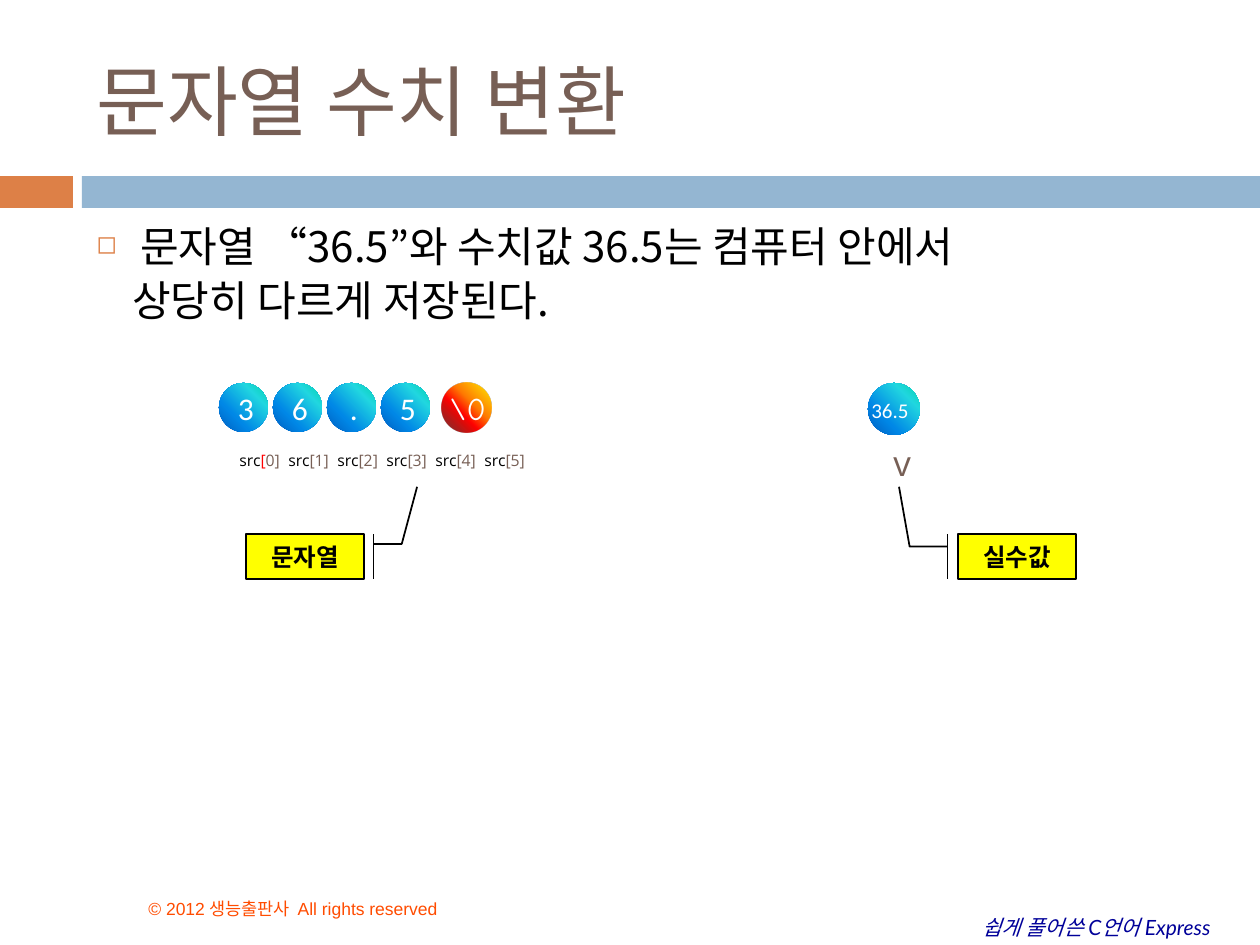
from dataclasses import dataclass

from pptx import Presentation
from pptx.dml.color import RGBColor
from pptx.enum.shapes import MSO_SHAPE as Shape
from pptx.enum.text import MSO_ANCHOR as Anchor, PP_ALIGN as Align
from pptx.oxml import parse_xml
from pptx.oxml.ns import nsdecls, qn
from pptx.util import Pt

PX = 914400 / 126


@dataclass(frozen=True)
class Theme:
    orange: str = "DD8047"
    blue: str = "94B6D2"
    brown: str = "775F55"
    black: str = "000000"
    white: str = "FFFFFF"
    red: str = "FF0000"
    yellow: str = "FFFF00"
    navy: str = "000099"
    copyright: str = "FF4C00"
    ocean: tuple = ((0, "03D4A8", 100), (25, "21D6E0", 100),
                    (68, "0087E6", 100), (100, "005CBF", 100))
    fire: tuple = ((0, "FFF200", 100), (40, "FF7A00", 100),
                   (60, "FF0300", 100), (100, "4D0808", 80))
    title_size: int = 44
    body_size: int = 24
    mark_size: int = 20
    digit_size: int = 18
    label_size: int = 14
    small_size: int = 12
    copyright_size: int = 10
    index_size: int = 9
    korean: str = "Noto Sans CJK KR"


theme = Theme()
deck = Presentation()
deck.slide_width, deck.slide_height = round(1260 * PX), round(945 * PX)
page = deck.slides.add_slide(deck.slide_layouts[6])


def add_box(kind, left, top, width, height, fill=None):
    """Add a preset shape, or a text box when kind is None."""
    place = [round(n * PX) for n in (left, top, width, height)]
    if kind is None:
        box = page.shapes.add_textbox(*place)
        box.text_frame.word_wrap = True
        return box
    box = page.shapes.add_shape(kind, *place)
    box.shadow.inherit = False
    box.line.fill.background()
    if isinstance(fill, str):
        box.fill.solid()
        box.fill.fore_color.rgb = RGBColor.from_string(fill)
    else:
        box.fill.gradient()
        stops = "".join(
            f'<a:gs pos="{at * 1000}"><a:srgbClr val="{color}">'
            f'<a:alpha val="{alpha * 1000}"/></a:srgbClr></a:gs>'
            for at, color, alpha in fill)
        props = box.element.spPr
        props.replace(props.find(qn("a:gradFill")), parse_xml(
            f'<a:gradFill {nsdecls("a")} rotWithShape="1"><a:gsLst>{stops}</a:gsLst>'
            '<a:path path="circle"><a:fillToRect l="100000" b="100000"/></a:path>'
            '</a:gradFill>'))
    return box


def style(para, size, face, color):
    """Format every run of a paragraph."""
    for span in para.runs:
        span.font.size = Pt(size)
        span.font.name = face
        span.font.color.rgb = RGBColor.from_string(color)


# Band under the title
add_box(Shape.RECTANGLE, 0, 176, 73, 32, theme.orange)
add_box(Shape.RECTANGLE, 82, 176, 1178, 32, theme.blue)

# Footer
series = add_box(None, 970, 908, 275, 38)
series.text_frame.word_wrap = False
para = series.text_frame.paragraphs[0]
para.text = "쉽게 풀어쓴 C언어 Express"
style(para, theme.small_size, "Lato", theme.navy)
para.runs[0].font.italic = True

rights = add_box(None, 136, 872, 483, 53)
rights.text_frame.vertical_anchor = Anchor.BOTTOM
para = rights.text_frame.paragraphs[0]
para.text = "© 2012 생능출판사  All rights reserved"
style(para, theme.copyright_size, "Arial", theme.copyright)

# Title
title = add_box(None, 84, 32, 1124, 136)
title.text_frame.vertical_anchor = Anchor.MIDDLE
para = title.text_frame.paragraphs[0]
para.text = "문자열 수치 변환"
style(para, theme.title_size, "Calibri", theme.brown)

# Body
body = add_box(None, 84, 220, 1124, 620)
body.text_frame.text = ("문자열 “36.5”와 수치값 36.5는 컴퓨터 안에서\n"
                        "상당히 다르게 저장된다.")
bullet, rest = body.text_frame.paragraphs
for para, indent, hanging in ((bullet, 44, 44), (rest, 36, 0)):
    props = para._p.get_or_add_pPr()
    props.set("marL", str(round(indent * PX)))
    props.set("indent", str(round(-hanging * PX)))
    para.line_spacing = 0.9
    style(para, theme.body_size, theme.korean, theme.black)
rest.space_before = Pt(5)
for mark in (f'<a:buClr {nsdecls("a")}><a:srgbClr val="{theme.orange}"/></a:buClr>',
             f'<a:buSzPct {nsdecls("a")} val="60000"/>',
             f'<a:buChar {nsdecls("a")} char="◻"/>'):
    bullet._p.get_or_add_pPr().append(parse_xml(mark))

# Array index labels, one tab stop per element
indexes = add_box(None, 227, 445, 347, 32)
para = indexes.text_frame.paragraphs[0]
tabs = "".join(f'<a:tab pos="{round(49 * n * PX)}" algn="l"/>' for n in range(1, 6))
para._p.get_or_add_pPr().append(
    parse_xml(f'<a:tabLst {nsdecls("a")}>{tabs}</a:tabLst>'))
for n in range(6):
    end = "\t" if n < 5 else ""
    for piece, color in (("src", theme.black),
                         ("[", theme.brown if n else theme.red),
                         (f"{n}]{end}", theme.brown)):
        span = para.add_run()
        span.text = piece
        span.font.size = Pt(theme.index_size)
        span.font.name = "Open Sans"
        span.font.color.rgb = RGBColor.from_string(color)

# Characters of the string
for n, char in enumerate("36.5"):
    ball = add_box(Shape.OVAL, 219 + 54 * n, 383, 49, 49, theme.ocean)
    frame = ball.text_frame
    frame.word_wrap = False
    frame.vertical_anchor = Anchor.MIDDLE
    frame.margin_left = round(5 * PX)
    frame.margin_right = 0
    para = frame.paragraphs[0]
    para.text = char
    para.alignment = Align.CENTER
    style(para, theme.digit_size, "Calibri", theme.white)

# Terminator and the real number
add_box(Shape.OVAL, 442, 383, 49, 49, theme.fire)
add_box(Shape.OVAL, 868, 383, 52, 52, theme.ocean)
for text, place, size, face, color in (
        ("\\0", (437, 383, 64, 50), theme.digit_size, "Comic Neue", theme.white),
        ("36.5", (859, 391, 91, 38), theme.small_size, "Calibri", theme.white),
        ("v", (881, 435, 78, 55), theme.mark_size, "Open Sans", theme.brown)):
    para = add_box(None, *place).text_frame.paragraphs[0]
    para.text = text
    style(para, size, face, color)

# Callouts
for text, left, bends in (
        ("문자열", 246, (0.22, 1.08, 0.22, 1.32, -1.05, 1.45)),
        ("실수값", 958, (0.28, -0.09, 0.28, -0.41, -1.05, -0.5))):
    callout = add_box(Shape.LINE_CALLOUT_2_BORDER_AND_ACCENT_BAR,
                      left, 534, 118, 45, theme.yellow)
    callout.line.color.rgb = RGBColor.from_string(theme.black)
    callout.line.width = Pt(1)
    for n, bend in enumerate(bends):
        callout.adjustments[n] = bend
    callout.text_frame.vertical_anchor = Anchor.MIDDLE
    para = callout.text_frame.paragraphs[0]
    para.text = text
    para.alignment = Align.CENTER
    style(para, theme.label_size, theme.korean, theme.black)
    para.runs[0].font.bold = True

deck.save("out.pptx")
